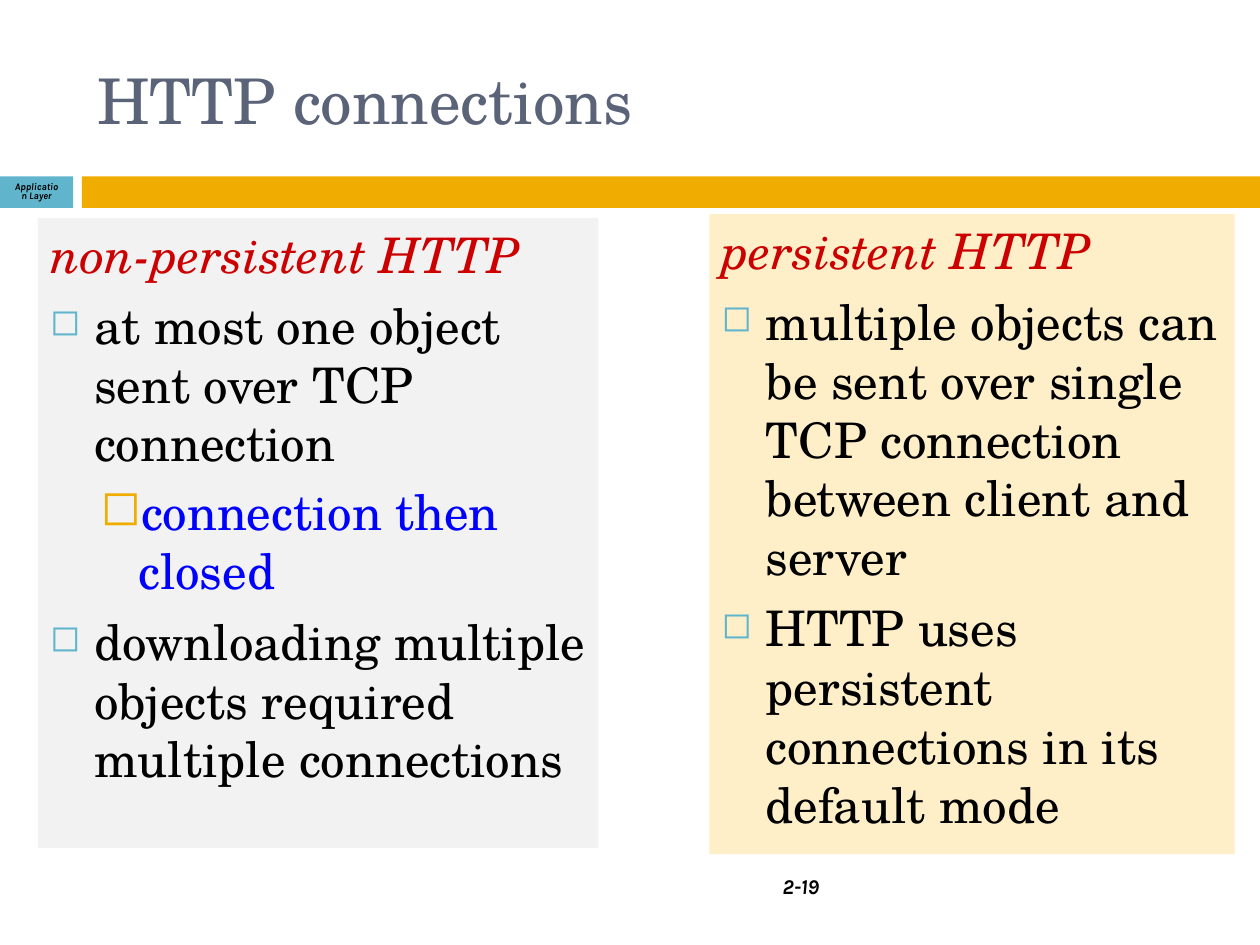
from dataclasses import dataclass

from lxml.etree import SubElement
from pptx import Presentation
from pptx.dml.color import RGBColor
from pptx.enum.shapes import MSO_SHAPE
from pptx.enum.text import MSO_ANCHOR, MSO_AUTO_SIZE, PP_ALIGN
from pptx.oxml.ns import qn
from pptx.shapes.autoshape import Shape
from pptx.slide import Slide
from pptx.text.text import TextFrame, _Paragraph
from pptx.util import Inches, Pt


@dataclass(frozen=True)
class Theme:
    serif: str = "TeX Gyre Schola"
    sans: str = "Karla"
    title: str = "5A6378"
    ink: str = "000000"
    heading: str = "CC0000"
    emphasis: str = "0000FF"
    teal: str = "60B5CC"
    amber: str = "F0AD00"
    grey: str = "F2F2F2"
    cream: str = "FEEFC9"
    title_size: float = 36
    body_size: float = 28
    number_size: float = 12
    footer_size: float = 5.7


THEME = Theme()


@dataclass(frozen=True)
class Box:
    left: float
    top: float
    width: float
    height: float

    def emu(self) -> tuple[int, ...]:
        return tuple(Inches(v) for v in (self.left, self.top, self.width, self.height))


@dataclass(frozen=True)
class Style:
    color: str
    margin: float = 0.35
    indent: float = -0.35
    before: float = 0
    level: int = 0
    italic: bool = False
    bullet: str = ""
    bullet_color: str = ""
    bullet_percent: int = 100


HEADING = Style(THEME.heading, italic=True)
POINT = Style(THEME.ink, before=7, bullet="◻", bullet_color=THEME.teal, bullet_percent=75)
SUBPOINT = Style(THEME.emphasis, 0.7, -0.3, 5.5, 1, bullet="◻", bullet_color=THEME.amber)


@dataclass(frozen=True)
class Panel:
    box: Box
    fill: str
    lines: tuple[tuple[Style, str], ...]


@dataclass(frozen=True)
class Label:
    box: Box
    text: str
    size: float
    align: PP_ALIGN
    spacing: float = 1.0


BARS = (
    (Box(0, 1.4, 0.58, 0.25), THEME.teal),
    (Box(0.65, 1.4, 9.35, 0.25), THEME.amber),
)
LABELS = (
    Label(Box(0, 1.39, 0.58, 0.27), "Application Layer", THEME.footer_size, PP_ALIGN.CENTER, 0.8),
    Label(Box(0.67, 6.83, 5.93, 0.4), "2-19", THEME.number_size, PP_ALIGN.RIGHT),
)
PANELS = (
    Panel(Box(0.3, 1.73, 4.45, 5), THEME.grey, (
        (HEADING, "non-persistent HTTP"),
        (POINT, "at most one object sent over TCP connection"),
        (SUBPOINT, "connection then closed"),
        (POINT, "downloading multiple objects required multiple connections"),
    )),
    Panel(Box(5.63, 1.7, 4.17, 5.08), THEME.cream, (
        (HEADING, "persistent HTTP"),
        (POINT, "multiple objects can be sent over single TCP connection between client and server"),
        (POINT, "HTTP uses persistent connections in its default mode"),
    )),
)


def add_run(paragraph: _Paragraph, text: str, face: str, size: float, color: str,
            bold: bool = False, italic: bool = False) -> None:
    run = paragraph.add_run()
    run.text = text
    run.font.name = face
    run.font.size = Pt(size)
    run.font.bold = bold
    run.font.italic = italic
    run.font.color.rgb = RGBColor.from_string(color)


def set_frame(frame: TextFrame, anchor: MSO_ANCHOR) -> None:
    frame.word_wrap = True
    frame.auto_size = MSO_AUTO_SIZE.NONE
    frame.vertical_anchor = anchor
    frame.margin_left = frame.margin_right = Inches(0.1)
    frame.margin_top = frame.margin_bottom = Inches(0.05)


def add_rectangle(slide: Slide, box: Box, fill: str) -> Shape:
    rectangle = slide.shapes.add_shape(MSO_SHAPE.RECTANGLE, *box.emu())
    rectangle.shadow.inherit = False
    rectangle.fill.solid()
    rectangle.fill.fore_color.rgb = RGBColor.from_string(fill)
    rectangle.line.fill.background()
    return rectangle


def format_paragraph(paragraph: _Paragraph, style: Style) -> None:
    paragraph.alignment = PP_ALIGN.LEFT
    paragraph.level = style.level
    paragraph.space_before = Pt(style.before)
    properties = paragraph._p.get_or_add_pPr()
    properties.set("marL", str(Inches(style.margin)))
    properties.set("indent", str(Inches(style.indent)))
    if style.bullet:
        bullet_color = SubElement(properties, qn("a:buClr"))
        SubElement(bullet_color, qn("a:srgbClr"), val=style.bullet_color)
        SubElement(properties, qn("a:buSzPct"), val=str(style.bullet_percent * 1000))
        SubElement(properties, qn("a:buChar"), char=style.bullet)
    else:
        SubElement(properties, qn("a:buNone"))


def add_panel(slide: Slide, panel: Panel) -> None:
    frame = add_rectangle(slide, panel.box, panel.fill).text_frame
    set_frame(frame, MSO_ANCHOR.TOP)
    for index, (style, text) in enumerate(panel.lines):
        paragraph = frame.add_paragraph() if index else frame.paragraphs[0]
        format_paragraph(paragraph, style)
        add_run(paragraph, text, THEME.serif, THEME.body_size, style.color, italic=style.italic)


def add_label(slide: Slide, label: Label) -> None:
    frame = slide.shapes.add_textbox(*label.box.emu()).text_frame
    set_frame(frame, MSO_ANCHOR.MIDDLE)
    paragraph = frame.paragraphs[0]
    paragraph.alignment = label.align
    paragraph.line_spacing = label.spacing
    add_run(paragraph, label.text, THEME.sans, label.size, THEME.ink, bold=True, italic=True)


def set_title(slide: Slide, box: Box, text: str) -> None:
    title = slide.shapes.title
    title.left, title.top, title.width, title.height = box.emu()
    set_frame(title.text_frame, MSO_ANCHOR.MIDDLE)
    paragraph = title.text_frame.paragraphs[0]
    paragraph.alignment = PP_ALIGN.LEFT
    add_run(paragraph, text, THEME.serif, THEME.title_size, THEME.title)


def main() -> None:
    """Build the slide comparing non-persistent and persistent HTTP."""
    presentation = Presentation()
    presentation.slide_width, presentation.slide_height = Inches(10), Inches(7.5)
    slide = presentation.slides.add_slide(presentation.slide_layouts[5])
    set_title(slide, Box(0.67, 0.25, 8.92, 1.08), "HTTP connections")
    for box, fill in BARS:
        add_rectangle(slide, box, fill)
    for label in LABELS:
        add_label(slide, label)
    for panel in PANELS:
        add_panel(slide, panel)
    presentation.save("out.pptx")


if __name__ == "__main__":
    main()
